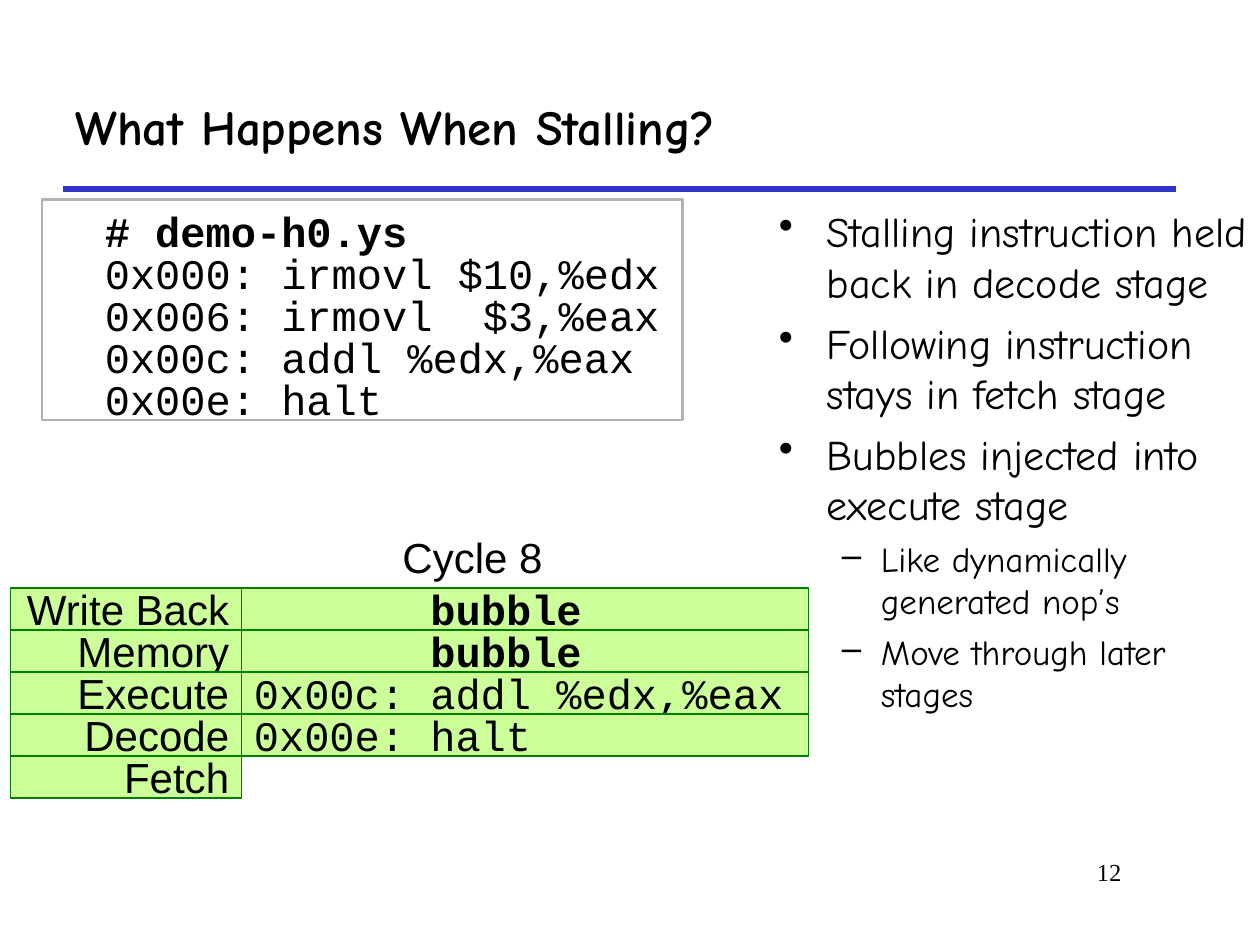
import pptx
import pptx.util
import pptx.dml.color
import pptx.enum.shapes
import pptx.enum.text
import pptx.oxml.ns
import lxml.etree

Pt = pptx.util.Pt
Inches = pptx.util.Inches
Shape = pptx.enum.shapes.MSO_SHAPE
Align = pptx.enum.text.PP_ALIGN
Anchor = pptx.enum.text.MSO_ANCHOR
qn = pptx.oxml.ns.qn

deck = pptx.Presentation()
deck.slide_width = Inches(10)
deck.slide_height = Inches(7.5)
unit = deck.slide_width / 120
slide = deck.slides.add_slide(deck.slide_layouts[5])
shapes = slide.shapes


def hue(code):
    return pptx.dml.color.RGBColor.from_string(code)


def put(text, box, shape=None, font="Arial", size=24, bold=False, align=Align.LEFT,
        anchor=Anchor.MIDDLE, fill=None, line=None, left=0.1, right=0.1):
    area = [round(n * unit) for n in box]
    if shape is None:
        shape = shapes.add_shape(Shape.RECTANGLE, *area) if fill or line else shapes.add_textbox(*area)
    shape.left, shape.top, shape.width, shape.height = area
    if fill or line:
        shape.shadow.inherit = False
        shape.fill.background()
        shape.line.fill.background()
    if fill:
        shape.fill.solid()
        shape.fill.fore_color.rgb = hue(fill)
    if line:
        shape.line.color.rgb = hue(line)
        shape.line.width = Pt(1)
    frame = shape.text_frame
    frame.text = text
    frame.word_wrap = True
    frame.auto_size = pptx.enum.text.MSO_AUTO_SIZE.NONE
    frame.vertical_anchor = anchor
    frame.margin_left, frame.margin_right = Inches(left), Inches(right)
    frame.margin_top = frame.margin_bottom = Inches(0.05)
    for para in frame.paragraphs:
        para.alignment = align
        para.font.size = Pt(size)
        for run in para.runs:
            run.font.name = font
            run.font.bold = bold
            run.font.color.rgb = hue("000000")
    return shape


rule = shapes.add_connector(pptx.enum.shapes.MSO_CONNECTOR.STRAIGHT,
                            *[round(n * unit) for n in (6, 18, 112, 18)])
rule.line.color.rgb = hue("3333CC")
rule.line.width = Pt(3)
lxml.etree.SubElement(rule._element.spPr, qn("a:effectLst"))

put("What Happens When Stalling?", (6, 6, 106, 12), shape=shapes.title,
    font="Comic Neue", size=28, bold=True)
put("12", (91, 81, 17, 6), font="Times New Roman", size=14,
    align=Align.RIGHT, anchor=Anchor.TOP)

points = [
    (0, "Stalling instruction held back in decode stage"),
    (0, "Following instruction stays in fetch stage"),
    (0, "Bubbles injected into execute stage"),
    (1, "Like dynamically generated nop’s"),
    (1, "Move through later stages"),
]
styles = [(24, 6, 0.38, 0.38, "•"), (20, 5, 0.81, 0.31, "–")]
body = put("\n".join(text for level, text in points), (73, 19, 47, 62),
           font="Comic Neue", anchor=Anchor.TOP)
for para, (level, text) in zip(body.text_frame.paragraphs, points):
    size, gap, margin, hang, mark = styles[level]
    para.level = level
    para.font.size = Pt(size)
    para.space_before = Pt(gap)
    props = para._p.get_or_add_pPr()
    props.set("marL", str(Inches(margin)))
    props.set("indent", str(-Inches(hang)))
    bullet = lxml.etree.Element(qn("a:buChar"), char=mark)
    props.find(qn("a:spcBef")).addnext(bullet)

frame = put("", (4, 19, 61, 21), line="B2B2B2")
frame.line.width = Pt(1.5)
code = ["# demo-h0.ys", "0x000: irmovl $10,%edx", "0x006: irmovl  $3,%eax",
        "0x00c: addl %edx,%eax", "0x00e: halt"]
for row, text in enumerate(code):
    put(text, (8.8, 20 + 4 * row, 54.6, 4), font="Courier New", bold=row == 0, right=0)

put("Cycle 8", (23, 51, 44, 4), fill="FFFFFF", align=Align.CENTER)
stages = [("Write Back", "bubble"), ("Memory", "bubble"),
          ("Execute", code[3]), ("Decode", code[4]), ("Fetch", None)]
for row, (stage, step) in enumerate(stages):
    top = 56 + 4 * row
    put(stage, (1, top, 22, 4), fill="CCFF99", line="008000", align=Align.RIGHT)
    if step:
        late = step == "bubble"
        put(step, (23, top, 54, 4), fill="CCFF99", line="008000", font="Courier New",
            bold=late, left=1.5 if late else 0.1)

deck.save("out.pptx")
